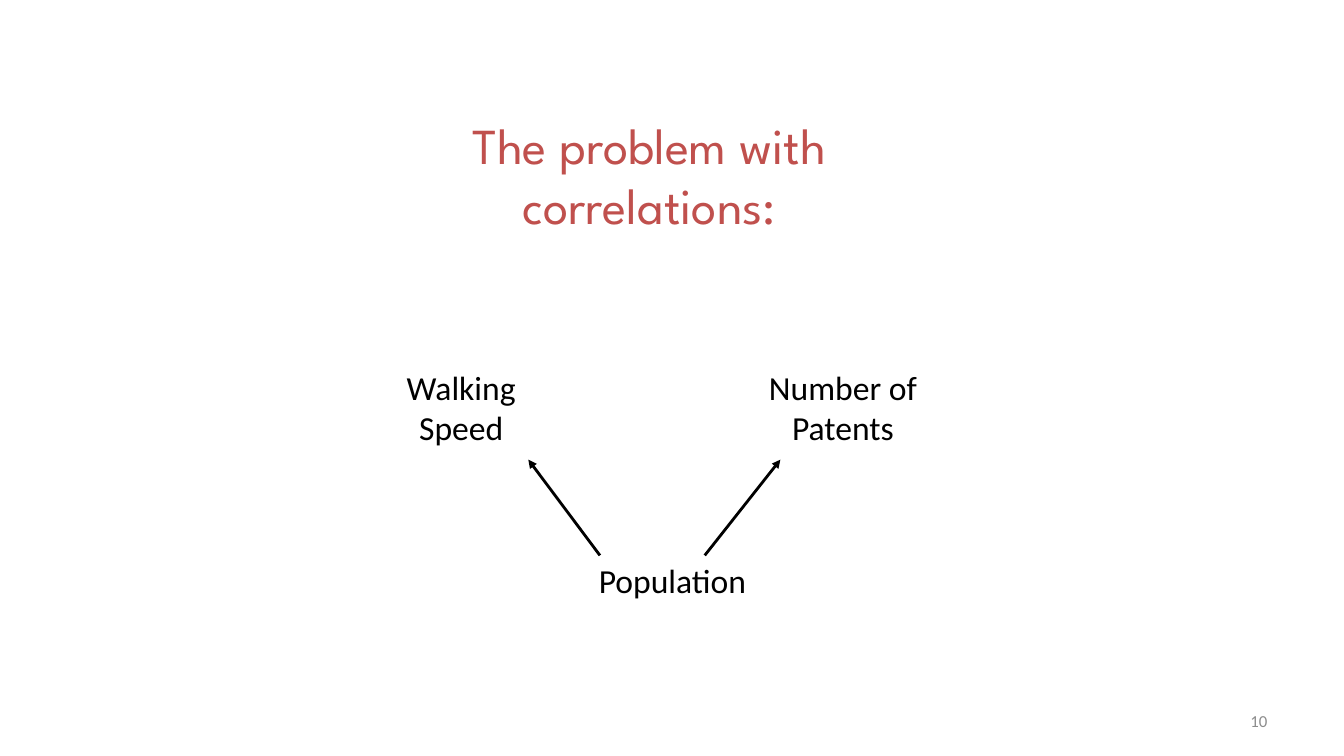
import pptx
import pptx.dml.color
import pptx.enum.shapes
import pptx.enum.text
import pptx.oxml
import pptx.oxml.ns
import pptx.util

PX = 9144  # EMU per px, 100 px to the inch
COLORS = {"title": "C0504D", "text": "000000", "number": "8C8C8C"}
ALIGN = pptx.enum.text.PP_ALIGN
ANCHOR = pptx.enum.text.MSO_ANCHOR


def px(*lengths):
    return [pptx.util.Emu(n * PX) for n in lengths]


def rgb(name):
    return pptx.dml.color.RGBColor.from_string(COLORS[name])


def set_text(sp, text, size=24, font="Calibri", color="text",
             align=ALIGN.CENTER, anchor=ANCHOR.TOP, wrap=True):
    tf = sp.text_frame
    tf.word_wrap = wrap
    tf.auto_size = pptx.enum.text.MSO_AUTO_SIZE.NONE
    tf.vertical_anchor = anchor
    tf.text = text
    p = tf.paragraphs[0]
    p.alignment = align
    for r in p.runs:
        r.font.size = pptx.util.Pt(size)
        r.font.name = font
        r.font.color.rgb = rgb(color)


def add_title(s, text, box):
    sp = s.shapes.title
    sp.left, sp.top, sp.width, sp.height = px(*box)
    set_text(sp, text, size=36, font="League Spartan", color="title")


def add_label(s, text, box, **text_format):
    set_text(s.shapes.add_textbox(*px(*box)), text, **text_format)


def add_arrow(s, start, end):
    line = s.shapes.add_connector(
        pptx.enum.shapes.MSO_CONNECTOR.STRAIGHT, *px(*start, *end))
    line.line.color.rgb = rgb("text")
    line.line.width = pptx.util.Pt(2)
    ns = pptx.oxml.ns.nsdecls("a")
    line.line._get_or_add_ln().append(
        pptx.oxml.parse_xml(f'<a:tailEnd {ns} type="triangle"/>'))
    line._element.spPr.append(pptx.oxml.parse_xml(f"<a:effectLst {ns}/>"))


def main():
    prs = pptx.Presentation()
    prs.slide_width, prs.slide_height = px(1333, 750)
    s = prs.slides.add_slide(prs.slide_layouts[5])

    add_title(s, "The problem with correlations:", (391, 108, 506, 131))
    add_label(s, "Walking Speed", (391, 359, 133, 91))
    add_label(s, "Number of\vPatents", (752, 359, 168, 91), wrap=False)
    add_label(s, "Population", (584, 551, 168, 50), align=ALIGN.LEFT, wrap=False)
    add_arrow(s, (699, 551), (774, 456))
    add_arrow(s, (595, 551), (524, 456))
    add_label(s, "10", (956, 695, 311, 40), size=12, color="number",
              align=ALIGN.RIGHT, anchor=ANCHOR.MIDDLE)

    prs.save("out.pptx")


if __name__ == "__main__":
    main()
